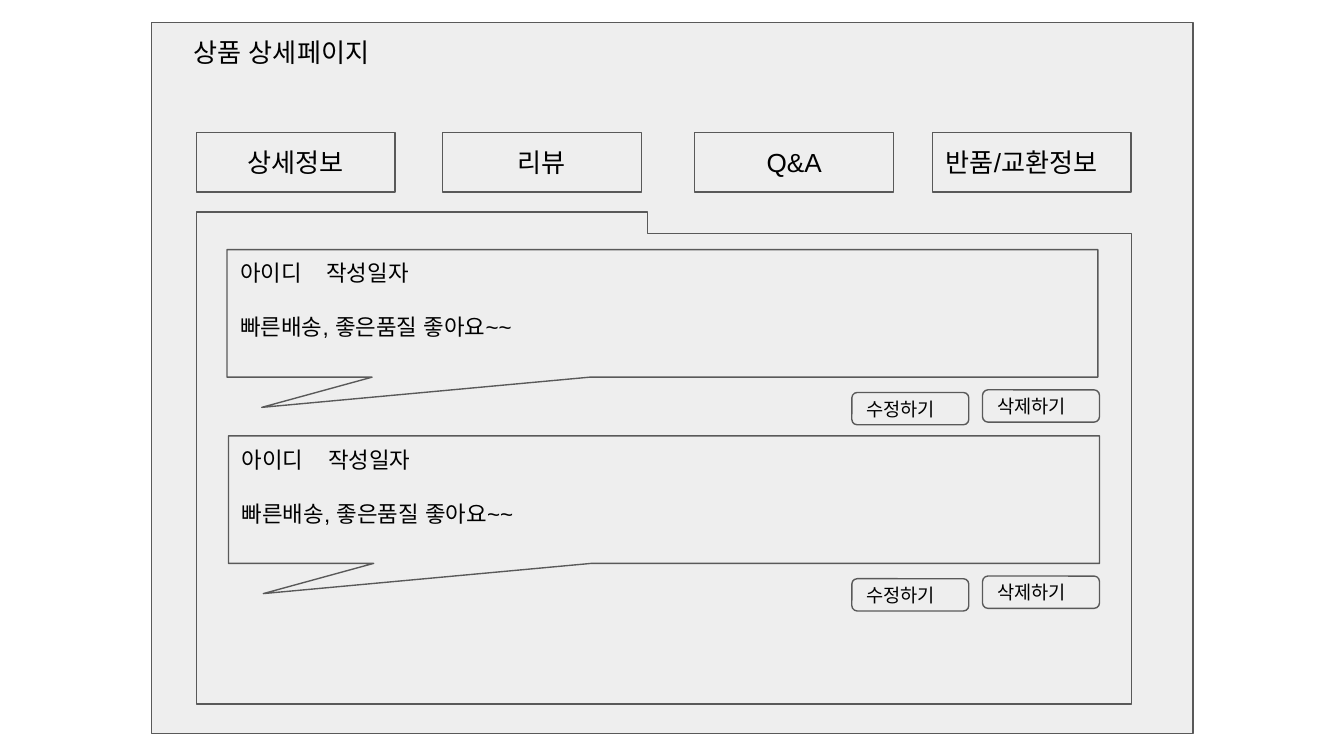
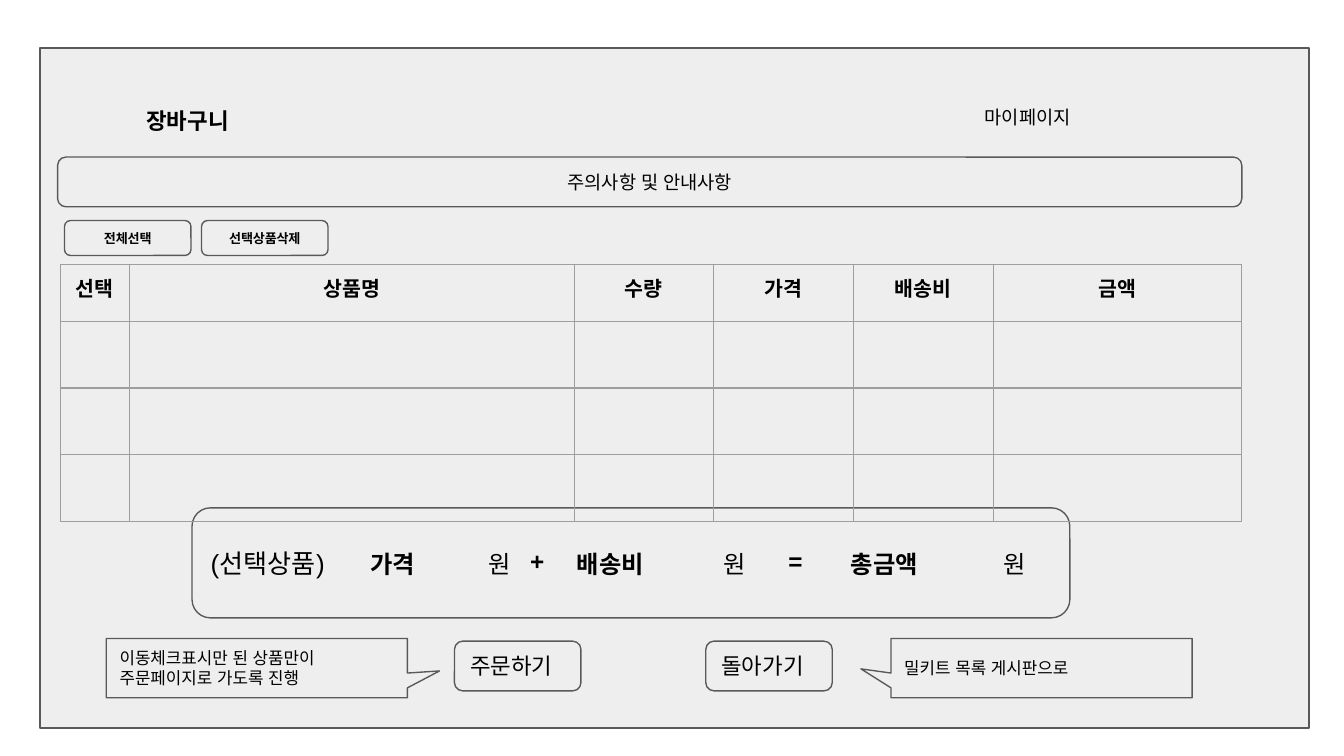
from dataclasses import dataclass

from lxml.etree import SubElement as Sub
from pptx import Presentation
from pptx.dml.color import RGBColor as Rgb
from pptx.enum.shapes import MSO_SHAPE as Kind
from pptx.enum.text import MSO_ANCHOR as Anchor, MSO_AUTO_SIZE as Fit, PP_ALIGN as Align
from pptx.oxml.ns import qn
from pptx.slide import Slide
from pptx.text.text import TextFrame, _Paragraph as Para
from pptx.util import Cm, Pt

HUES = {"panel": "EEEEEE", "line": "595959", "grid": "9E9E9E", "text": "000000"}
FONT = "Arial"
PAD = 0.25
EDGE = 0.75
ROUND = (0.167,)
LEFT, MID, RIGHT = Align.LEFT, Align.CENTER, Align.RIGHT


@dataclass
class Box:
    x: float
    y: float
    w: float
    h: float
    text: str = ""
    size: float = 14
    align: Align = LEFT
    bold: bool = False
    kind: Kind = Kind.RECTANGLE
    adj: tuple[float, ...] = ()


def style(para: Para, size: float, align: Align, bold: bool) -> None:
    para.alignment = align
    for run in para.runs:
        font = run.font
        font.size, font.bold, font.name = Pt(size), bold, FONT
        font.color.rgb = Rgb.from_string(HUES["text"])
        Sub(run._r.get_or_add_rPr(), qn("a:ea"), typeface=FONT)


def fill_text(frame: TextFrame, box: Box) -> None:
    frame.word_wrap = True
    frame.margin_left = frame.margin_right = Cm(PAD)
    frame.margin_top = frame.margin_bottom = Cm(PAD)
    frame.text = box.text
    for para in frame.paragraphs:
        style(para, box.size, box.align, box.bold)


def draw(slide: Slide, box: Box) -> TextFrame:
    shape = slide.shapes.add_shape(box.kind, Cm(box.x), Cm(box.y), Cm(box.w), Cm(box.h))
    shape.shadow.inherit = False
    shape.fill.solid()
    shape.fill.fore_color.rgb = Rgb.from_string(HUES["panel"])
    shape.line.color.rgb = Rgb.from_string(HUES["line"])
    shape.line.width = Pt(EDGE)
    for i, value in enumerate(box.adj):
        shape.adjustments[i] = value
    frame = shape.text_frame
    fill_text(frame, box)
    frame.vertical_anchor = Anchor.MIDDLE
    return frame


def label(slide: Slide, box: Box) -> None:
    shape = slide.shapes.add_textbox(Cm(box.x), Cm(box.y), Cm(box.w), Cm(box.h))
    fill_text(shape.text_frame, box)
    shape.text_frame.auto_size = Fit.SHAPE_TO_FIT_TEXT


def pill(x: float, y: float, w: float, h: float, text: str, size: float,
         align: Align = LEFT, bold: bool = False) -> Box:
    return Box(x, y, w, h, text, size, align, bold, Kind.ROUNDED_RECTANGLE, ROUND)


def review(slide: Slide, x: float, y: float) -> None:
    frame = draw(slide, Box(x, y, 16.46, 2.41, "아이디\t작성일자\n빠른배송, 좋은품질 좋아요~~", 12,
                            kind=Kind.RECTANGULAR_CALLOUT, adj=(-0.46, 0.737)))
    frame.margin_top, frame.margin_bottom = Cm(0.18), Cm(0.69)
    head, body = frame.paragraphs
    tabs = Sub(head._p.get_or_add_pPr(), qn("a:tabLst"))
    Sub(tabs, qn("a:tab"), pos=str(Cm(1.63)), algn="l")
    body.space_before = Pt(14.5)


def grid(slide: Slide, heads: list[str], widths: list[float], rows: int) -> None:
    high = 1.07
    table = slide.shapes.add_table(rows, len(heads), Cm(1.14), Cm(5),
                                   Cm(sum(widths)), Cm(high * rows)).table
    table.first_row = table.horz_banding = False
    for col, width in zip(table.columns, widths):
        col.width = Cm(width)
    for row in table.rows:
        row.height = Cm(high)
    for cell in table.iter_cells():
        cell.margin_left = cell.margin_right = Cm(PAD)
        cell.margin_top = cell.margin_bottom = Cm(PAD)
        props = cell._tc.get_or_add_tcPr()
        for side in "LRTB":
            line = Sub(props, qn(f"a:ln{side}"), w=str(Pt(EDGE)))
            Sub(Sub(line, qn("a:solidFill")), qn("a:srgbClr"), val=HUES["grid"])
        cell.fill.background()
    for i, head in enumerate(heads):
        para = table.cell(0, i).text_frame.paragraphs[0]
        para.text = head
        style(para, 11, MID, True)


def detail(slide: Slide) -> None:
    draw(slide, Box(2.87, 0.43, 19.68, 13.44))
    label(slide, Box(3.4, 0.43, 18.77, 1.12, "상품 상세페이지"))
    tabs = [(3.71, "상세정보", MID), (8.36, "리뷰", MID),
            (13.13, "Q&A", MID), (17.62, "반품/교환정보", LEFT)]
    for x, text, align in tabs:
        draw(slide, Box(x, 2.51, 3.76, 1.12, text, align=align))
    draw(slide, Box(3.71, 4.01, 17.68, 9.3, kind=Kind.CORNER, adj=(0.957, 0.917)))
    for i in range(2):
        drop = 3.52 * i
        review(slide, 4.29 + 0.03 * i, 4.72 + drop)
        for x, y, text in [(18.57, 7.37, "삭제하기"), (16.1, 7.42, "수정하기")]:
            draw(slide, pill(x, y + drop, 2.21, 0.61, text, 10))


def cart(slide: Slide) -> None:
    draw(slide, Box(0.76, 0.91, 23.98, 12.85))
    draw(slide, pill(1.09, 2.97, 22.38, 0.94, "주의사항 및 안내사항", 10, MID))
    label(slide, Box(14.81, 1.78, 9.22, 0.94, "마이페이지", 10, MID))
    draw(slide, pill(3.63, 9.6, 16.59, 2.08, "(선택상품)", 14))
    notes = [(16.84, "밀키트 목록 게시판으로", (-0.6, 0.013)),
             (2.01, "이동체크표시만 된 상품만이 주문페이지로 가도록 진행", (0.607, 0.048))]
    for x, text, adj in notes:
        draw(slide, Box(x, 12.07, 5.69, 1.12, text, 9,
                        kind=Kind.RECTANGULAR_CALLOUT, adj=adj))
    label(slide, Box(1.93, 1.78, 3.23, 1.02, "장바구니", 12, MID, True))
    grid(slide, ["선택", "상품명", "수량", "가격", "배송비", "금액"],
         [1.3, 8.41, 2.64, 2.64, 2.64, 4.7], 4)
    for x, text in [(8.59, "주문하기"), (13.34, "돌아가기")]:
        draw(slide, pill(x, 12.12, 2.39, 0.94, text, 12))
    for x, text in [(3.81, "선택상품삭제"), (1.22, "전체선택")]:
        draw(slide, pill(x, 4.17, 2.39, 0.66, text, 7, MID, True))
    for x, w, text in [(6.63, 1.57, "가격"), (10.44, 2.18, "배송비"), (15.72, 1.98, "총금액")]:
        label(slide, Box(x, 10.13, w, 1.07, text, 13, MID, True))
    for x in (8.33, 12.78, 18.06):
        label(slide, Box(x, 10.13, 1.57, 1.07, "원", 13, RIGHT))
    for x, sign in [(9.37, "+"), (14.25, "=")]:
        label(slide, Box(x, 10.08, 1.57, 1.07, sign, 13, MID, True))


def main() -> None:
    deck = Presentation()
    deck.slide_width, deck.slide_height = Cm(25.4), Cm(14.29)
    for build in (detail, cart):
        build(deck.slides.add_slide(deck.slide_layouts[6]))
    deck.save("out.pptx")


if __name__ == "__main__":
    main()
